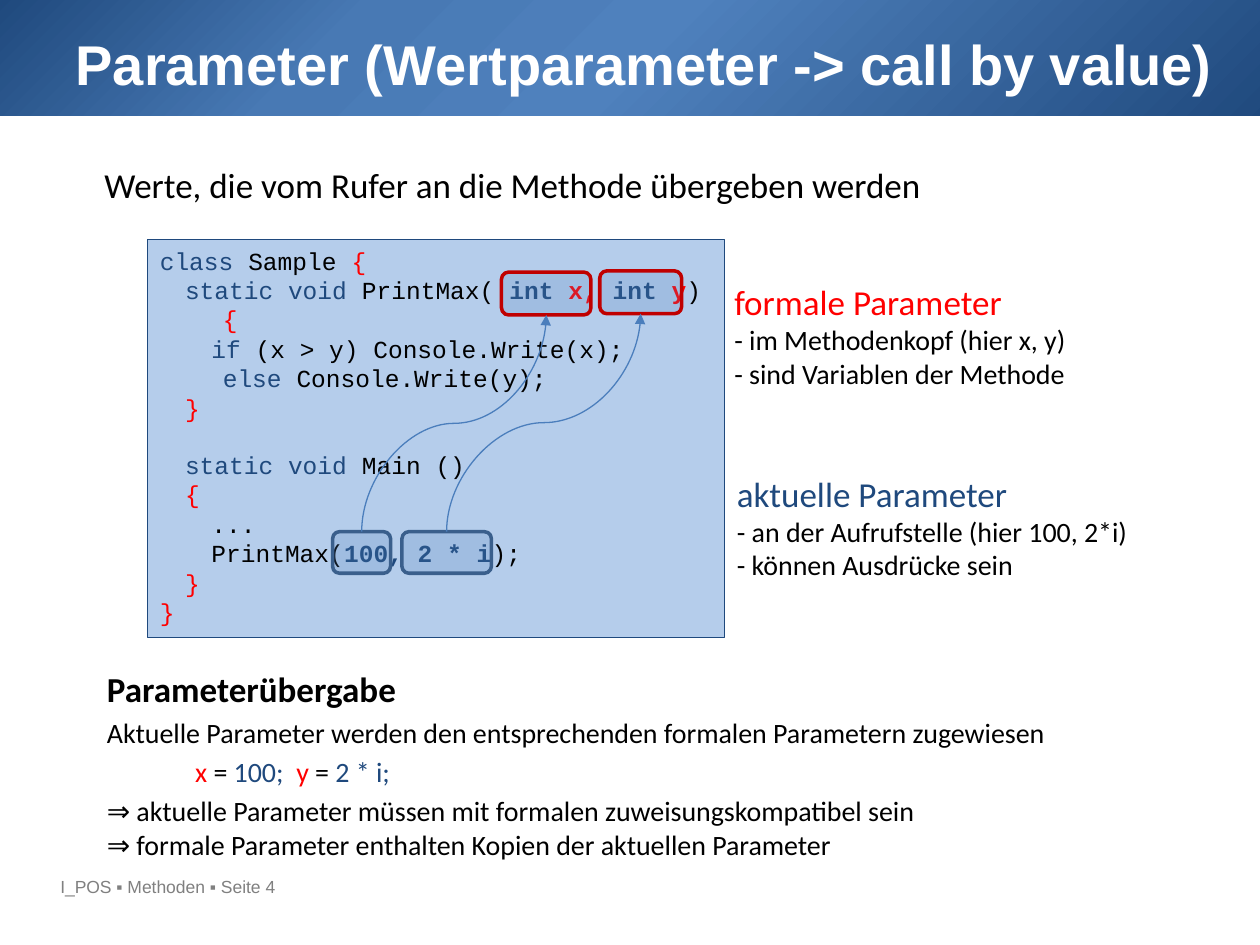
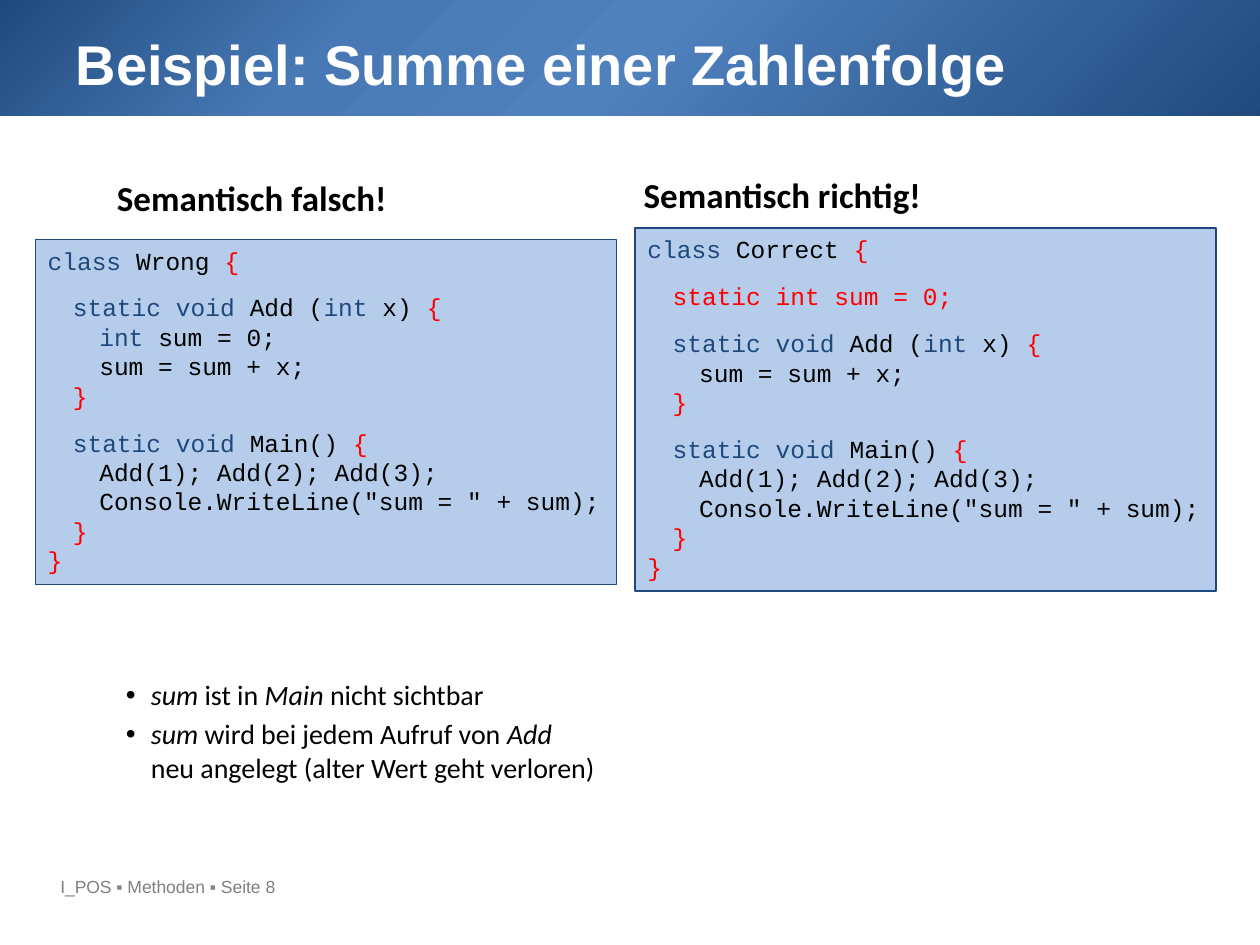
from dataclasses import dataclass
from functools import partial
from typing import NamedTuple

import lxml.etree
import pptx
import pptx.dml.color
import pptx.enum.shapes
import pptx.enum.text
import pptx.oxml.ns
import pptx.util

Inches = pptx.util.Inches
Pt = pptx.util.Pt
RGBColor = pptx.dml.color.RGBColor
SHAPE = pptx.enum.shapes.MSO_SHAPE
qn = pptx.oxml.ns.qn

BLACK = RGBColor(0x00, 0x00, 0x00)
WHITE = RGBColor(0xFF, 0xFF, 0xFF)
GREY = RGBColor(0x80, 0x80, 0x80)
RED = RGBColor(0xFF, 0x00, 0x00)
DARK_RED = RGBColor(0xC0, 0x00, 0x00)
NAVY = RGBColor(0x1F, 0x49, 0x7D)
STEEL = RGBColor(0x3A, 0x5F, 0x8C)
BLUE = RGBColor(0x4F, 0x81, 0xBD)
ARROW_BLUE = RGBColor(0x4B, 0x7E, 0xBC)
MID_BLUE = RGBColor(0x48, 0x79, 0xB4)
CODE_BLUE = RGBColor(0xB5, 0xCD, 0xEB)

BAND_STOPS = [(0, NAVY), (27, MID_BLUE), (50, BLUE), (100, NAVY)]
CODE_TABS = (0.2, 0.41)
HANGING = 0.2
HALF_GAP = 10
FULL_GAP = 16
ITEM_GAP = 3.2


class Box(NamedTuple):
    left: float
    top: float
    width: float
    height: float

    def emu(self) -> list[int]:
        return [Inches(value) for value in self]


class Run(NamedTuple):
    text: str
    color: RGBColor = BLACK
    bold: bool = False
    italic: bool = False


@dataclass
class Line:
    runs: list[Run]
    gap: float = 0
    size: float = 16
    font: str = "Calibri"
    hanging: bool = False
    bullet: str = ""
    tabs: tuple[float, ...] = ()


plain = Run
navy = partial(Run, color=NAVY)
red = partial(Run, color=RED)
bold = partial(Run, bold=True)
italic = partial(Run, italic=True)


def code(*runs: Run, gap: float = 0) -> Line:
    return Line(list(runs), gap, 14, "Courier New", tabs=CODE_TABS)


def text(*runs: Run, **options) -> Line:
    return Line(list(runs), **options)


def sub(parent, tag: str, **attributes):
    return lxml.etree.SubElement(
        parent, qn(tag), {key: str(value) for key, value in attributes.items()})


def set_format(target, values: dict) -> None:
    for name, value in values.items():
        setattr(target, name, value)


def write(frame, lines: list[Line]) -> None:
    set_format(frame, {"word_wrap": True,
                       "vertical_anchor": pptx.enum.text.MSO_ANCHOR.TOP})
    for index, line in enumerate(lines):
        paragraph = frame.add_paragraph() if index else frame.paragraphs[0]
        properties = paragraph._p.get_or_add_pPr()
        if line.hanging:
            properties.set("marL", str(Inches(HANGING)))
            properties.set("indent", str(-Inches(HANGING)))
        if line.bullet:
            sub(properties, "a:buFont", typeface="Arial")
            sub(properties, "a:buChar", char=line.bullet)
        if line.tabs:
            stops = sub(properties, "a:tabLst")
            for position in line.tabs:
                sub(stops, "a:tab", pos=Inches(position), algn="l")
        paragraph.alignment = pptx.enum.text.PP_ALIGN.LEFT
        if line.gap:
            paragraph.space_before = Pt(line.gap)
        for part in line.runs:
            if part.text == "\n":
                paragraph.add_line_break()
                continue
            run = paragraph.add_run()
            run.text = part.text
            set_format(run.font, {"name": line.font, "size": Pt(line.size),
                                  "bold": part.bold, "italic": part.italic})
            run.font.color.rgb = part.color


def add_text(slide, box: Box, *lines: Line) -> None:
    write(slide.shapes.add_textbox(*box.emu()).text_frame, list(lines))


def add_preset(slide, preset, box: Box, fill: RGBColor, line: RGBColor, width: float):
    shape = slide.shapes.add_shape(preset, *box.emu())
    shape.shadow.inherit = False
    shape.fill.solid()
    shape.fill.fore_color.rgb = fill
    shape.line.color.rgb = line
    shape.line.width = Pt(width)
    return shape


def add_code(slide, box: Box, lines: list[Line], border: float = 0.5) -> None:
    panel = add_preset(slide, SHAPE.RECTANGLE, box, CODE_BLUE, NAVY, border)
    write(panel.text_frame, lines)


def add_marker(slide, box: Box, line: RGBColor):
    """Frame a parameter in the code with a translucent rounded rectangle."""
    marker = add_preset(slide, SHAPE.ROUNDED_RECTANGLE, box, BLUE, line, 2)
    color = marker.element.spPr.find(qn("a:solidFill"))[0]
    sub(color, "a:alpha", val=20000)
    return marker


def add_value_arrow(slide, argument, parameter) -> None:
    """Curve upwards from an argument's top to a parameter's bottom."""
    start_x, start_y = argument.left + argument.width // 2, argument.top
    end_x = parameter.left + parameter.width // 2
    end_y = parameter.top + parameter.height
    arrow = slide.shapes.add_connector(
        pptx.enum.shapes.MSO_CONNECTOR.CURVE, start_x, start_y, end_x, end_y)
    arrow.begin_connect(argument, 0)
    arrow.end_connect(parameter, 2)
    run, rise = end_x - start_x, start_y - end_y
    set_format(arrow, {"left": (start_x + end_x - rise) // 2,
                       "top": (start_y + end_y - run) // 2,
                       "width": rise, "height": run})
    properties = arrow.element.spPr
    transform = properties.find(qn("a:xfrm"))
    for name, value in {"rot": "5400000", "flipH": "1", "flipV": "1"}.items():
        transform.set(name, value)
    arrow.line.color.rgb = ARROW_BLUE
    arrow.line.width = Pt(0.75)
    sub(properties.find(qn("a:ln")), "a:tailEnd", type="triangle")
    sub(properties, "a:effectLst")


def add_band(slide) -> None:
    band = add_preset(slide, SHAPE.RECTANGLE, Box(-0.01, -0.01, 10.12, 0.93),
                      BLUE, BLUE, 1)
    band.line.fill.background()
    solid = band.element.spPr.find(qn("a:solidFill"))
    gradient = lxml.etree.Element(qn("a:gradFill"), rotWithShape="1")
    stops = sub(gradient, "a:gsLst")
    for position, color in BAND_STOPS:
        sub(sub(stops, "a:gs", pos=position * 1000), "a:srgbClr", val=color)
    circle = sub(gradient, "a:path", path="circle")
    sub(circle, "a:fillToRect", r=100000, b=100000)
    sub(gradient, "a:tileRect", l=-100000, t=-100000)
    solid.getparent().replace(solid, gradient)
    slide.shapes.title.element.addprevious(band.element)


def add_page(deck, heading: str, number: int, title_width: float):
    slide = deck.slides.add_slide(deck.slide_layouts[5])
    title = slide.shapes.title
    box = Box(0.5, 0.14, title_width, 1.25)
    set_format(title, dict(zip(("left", "top", "width", "height"), box.emu())))
    set_format(title.text_frame, {"auto_size": pptx.enum.text.MSO_AUTO_SIZE.NONE,
                                  "margin_top": Inches(0.09)})
    write(title.text_frame, [text(bold(heading, WHITE), size=32, font="Arial")])
    add_band(slide)
    add_text(slide, Box(0.38, 6.9, 3.75, 0.33),
             text(plain(f"I_POS ▪ Methoden ▪ Seite {number}", GREY),
                  size=10, font="Arial"))
    return slide


def class_head(name: str) -> Line:
    return code(navy("class "), plain(f"{name} "), red("{"))


METHOD_END = code(red("\t}"))
CLASS_END = code(red("}"))
ADD_HEAD = code(navy("\tstatic void"), plain(" Add ("), navy("int"),
                plain(" x) "), red("{"), gap=HALF_GAP)
ADD_SUM = code(plain("\t\tsum = sum + x;"))
MAIN = [
    code(navy("\tstatic void"), plain(" Main() "), red("{"), gap=HALF_GAP),
    code(plain("\t\tAdd(1); Add(2); Add(3);")),
    code(plain('\t\tConsole.WriteLine("sum = " + sum);')),
    METHOD_END,
    CLASS_END,
]


def build_parameters(deck) -> None:
    slide = add_page(deck, "Parameter (Wertparameter -> call by value)", 4, 9.3)
    add_text(slide, Box(0.73, 1.25, 7.6, 0.43),
             text(plain("Werte, die vom Rufer an die Methode übergeben werden"), size=20))
    add_code(slide, Box(1.17, 1.9, 4.58, 3.16), [
        class_head("Sample"),
        code(navy("\tstatic void "), plain("PrintMax( "), navy("int", bold=True),
             red(" x, ", bold=True), navy("int", bold=True), red(" y", bold=True),
             plain(")")),
        code(red("\t\t\t{")),
        code(navy("\t\tif"), plain(" (x > y) Console.Write(x);")),
        code(navy("\t\t\telse "), plain("Console.Write(y);")),
        METHOD_END,
        code(navy("\tstatic void"), plain(" Main ()"), gap=FULL_GAP),
        code(red("\t{")),
        code(plain("\t\t...")),
        code(plain("\t\tPrintMax("), navy("100, 2 * i", bold=True), plain(");")),
        METHOD_END,
        CLASS_END,
    ])
    add_text(slide, Box(5.73, 2.18, 2.86, 0.98),
             text(red("formale Parameter"), size=20),
             text(plain("- im Methodenkopf (hier x, y)")),
             text(plain("- sind Variablen der Methode")))
    add_text(slide, Box(5.75, 3.7, 3.34, 0.98),
             text(navy("aktuelle Parameter"), size=20),
             text(plain("- an der Aufrufstelle (hier 100, 2*i)")),
             text(plain("- können Ausdrücke sein")))
    item = partial(text, hanging=True, gap=ITEM_GAP)
    add_text(slide, Box(0.75, 5.25, 7.75, 1.68),
             text(bold("Parameterübergabe"), size=20, hanging=True),
             item(plain("Aktuelle Parameter werden den entsprechenden "
                        "formalen Parametern zugewiesen")),
             item(red("\t\tx "), plain("="), navy(" 100;  "),
                  red("y "), plain("="), navy(" 2 * i;")),
             item(plain("⇒ aktuelle Parameter müssen mit formalen "
                        "zuweisungskompatibel sein")),
             text(plain("⇒ formale Parameter enthalten Kopien der "
                        "aktuellen Parameter"), hanging=True))
    arguments = [add_marker(slide, box, STEEL) for box in (
        Box(2.64, 4.22, 0.46, 0.33), Box(3.19, 4.22, 0.71, 0.33))]
    parameters = [add_marker(slide, box, DARK_RED) for box in (
        Box(3.98, 2.16, 0.71, 0.34), Box(4.76, 2.15, 0.65, 0.34))]
    for argument, parameter in zip(arguments, parameters):
        add_value_arrow(slide, argument, parameter)


def build_sum_example(deck) -> None:
    slide = add_page(deck, "Beispiel: Summe einer Zahlenfolge", 8, 9)
    add_code(slide, Box(0.28, 1.9, 4.61, 2.74), [
        class_head("Wrong"), ADD_HEAD,
        code(navy("\t\tint "), plain("sum = 0;")),
        ADD_SUM, METHOD_END, *MAIN])
    add_code(slide, Box(5.04, 1.81, 4.61, 2.88), [
        class_head("Correct"),
        code(red("\tstatic int sum = 0;"), gap=HALF_GAP),
        ADD_HEAD, ADD_SUM, METHOD_END, *MAIN], border=1)
    add_text(slide, Box(5.01, 1.33, 2.42, 0.44),
             text(bold("Semantisch richtig!"), size=20))
    add_text(slide, Box(0.83, 1.35, 2.36, 0.44),
             text(bold("Semantisch falsch!"), size=20))
    item = partial(text, hanging=True, bullet="•")
    add_text(slide, Box(0.9, 5.33, 3.93, 1.23),
             item(italic("sum"), plain(" ist in "), italic("Main"),
                  plain(" nicht sichtbar")),
             item(italic("sum"), plain(" wird bei jedem Aufruf von "), italic("Add"),
                  plain("\n"), plain("neu angelegt (alter Wert geht verloren)"),
                  gap=ITEM_GAP))


def main() -> None:
    deck = pptx.Presentation()
    set_format(deck, {"slide_width": Inches(10), "slide_height": Inches(7.5)})
    build_parameters(deck)
    build_sum_example(deck)
    deck.save("out.pptx")


if __name__ == "__main__":
    main()
